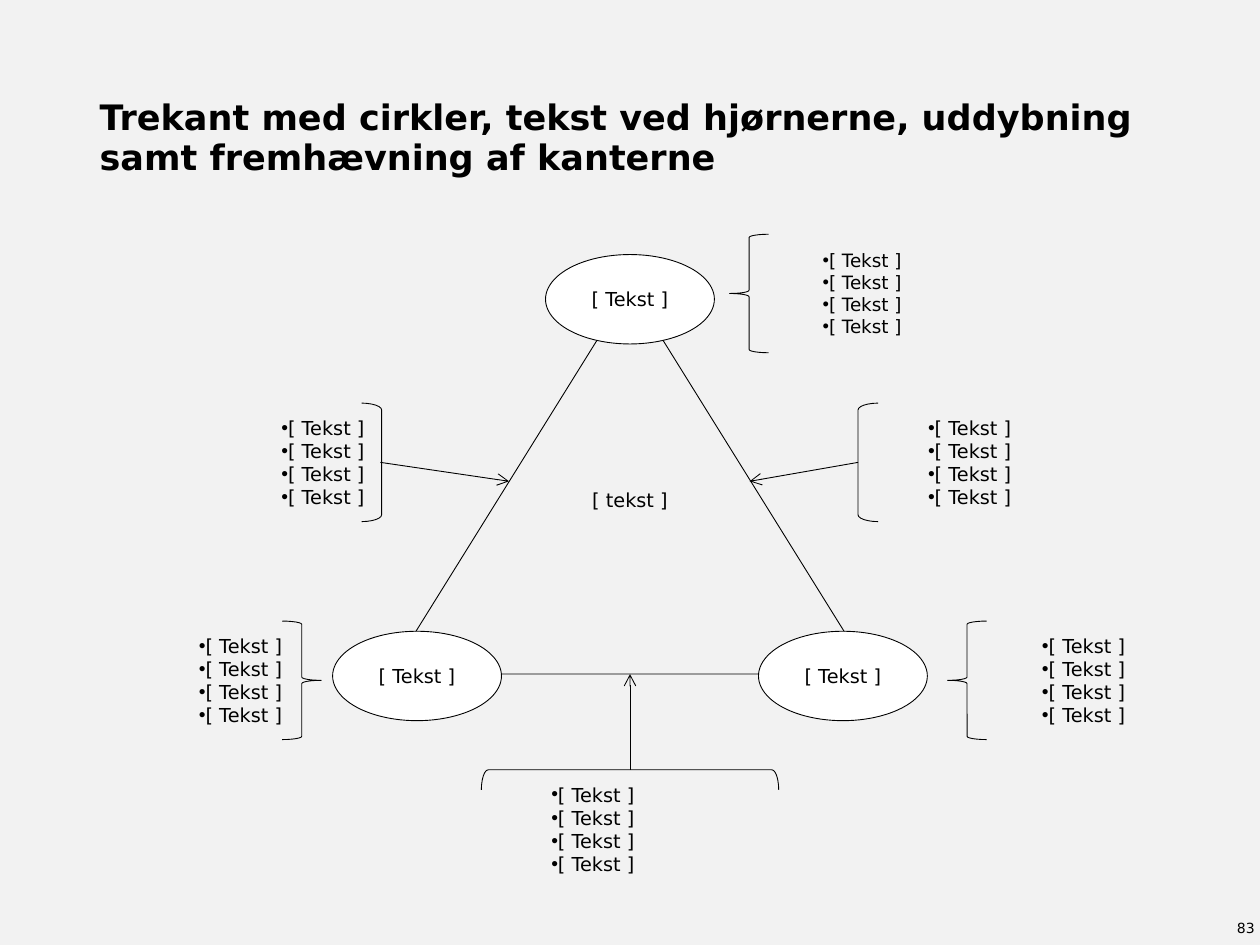
from lxml import etree
from pptx import Presentation
from pptx.dml.color import RGBColor
from pptx.enum.shapes import MSO_CONNECTOR, MSO_SHAPE
from pptx.enum.text import MSO_ANCHOR, MSO_AUTO_SIZE, PP_ALIGN
from pptx.oxml.ns import qn
from pptx.util import Inches, Pt

LEFT, CENTER, RIGHT = PP_ALIGN.LEFT, PP_ALIGN.CENTER, PP_ALIGN.RIGHT
TOP, MIDDLE, BOTTOM = MSO_ANCHOR.TOP, MSO_ANCHOR.MIDDLE, MSO_ANCHOR.BOTTOM
OVAL, TRIANGLE = MSO_SHAPE.OVAL, MSO_SHAPE.ISOSCELES_TRIANGLE
ROUNDED, BRACE = MSO_SHAPE.ROUNDED_RECTANGLE, MSO_SHAPE.LEFT_BRACE
BRACKET, STRAIGHT = MSO_SHAPE.LEFT_BRACKET, MSO_CONNECTOR.STRAIGHT
NO_AUTOFIT = MSO_AUTO_SIZE.NONE

COLORS = {"background": "F2F2F2", "ink": "000000", "circle": "FFFFFF"}
FONT, BULLET_FONT = "DejaVu Sans", "Arial"
BULLETS = ["[ Tekst ]"] * 4
LIST_H = 0.94


def rgb(name):
    return RGBColor.from_string(COLORS[name])


def write(tf, lines, size=11, bold=False, align=LEFT, anchor=TOP,
          insets=(0.08, 0.06), spacing=None, bullet=False):
    """Fill a text frame with one paragraph per line."""
    tf.word_wrap = True
    tf.auto_size = NO_AUTOFIT
    tf.vertical_anchor = anchor
    tf.margin_left = tf.margin_right = Inches(insets[0])
    tf.margin_top = tf.margin_bottom = Inches(insets[1])
    for i, line in enumerate(lines):
        p = tf.paragraphs[0] if i == 0 else tf.add_paragraph()
        p.alignment = align
        if spacing:
            p.line_spacing = spacing
        if bullet:
            pPr = p._p.get_or_add_pPr()
            pPr.set("marL", str(Inches(0.23)))
            pPr.set("indent", str(Inches(0.2)))
            etree.SubElement(pPr, qn("a:buFont")).set("typeface", BULLET_FONT)
            etree.SubElement(pPr, qn("a:buChar")).set("char", "•")
        r = p.add_run()
        r.text = line
        r.font.name = FONT
        r.font.size = Pt(size)
        r.font.bold = bold
        r.font.color.rgb = rgb("ink")


class Deck:
    """Holds the line style and the current slide."""

    line_width = Pt(0.5)

    def __init__(self, prs):
        self.s = prs.slides.add_slide(prs.slide_layouts[5])
        fill = self.s.background.fill
        fill.solid()
        fill.fore_color.rgb = rgb("background")

    def title(self, text, x, y, w, h):
        sp = self.s.shapes.title
        sp.left, sp.top, sp.width, sp.height = map(Inches, (x, y, w, h))
        write(sp.text_frame, [text], size=20, bold=True, anchor=BOTTOM,
              insets=(0, 0), spacing=0.96)

    def text(self, lines, x, y, w, h, **fmt):
        sp = self.s.shapes.add_textbox(*map(Inches, (x, y, w, h)))
        write(sp.text_frame, lines, **fmt)

    def shape(self, kind, x, y, w, h, fill=None, line=True, flip=False):
        sp = self.s.shapes.add_shape(kind, *map(Inches, (x, y, w, h)))
        sp.shadow.inherit = False
        if fill:
            sp.fill.solid()
            sp.fill.fore_color.rgb = rgb(fill)
        else:
            sp.fill.background()
        if line:
            sp.line.color.rgb = rgb("ink")
            sp.line.width = self.line_width
        else:
            sp.line.fill.background()
        if flip:
            sp._element.spPr.xfrm.set("flipH", "1")
        return sp

    def circle(self, text, x, y):
        sp = self.shape(OVAL, x, y, 1.34, 0.71, fill="circle")
        write(sp.text_frame, [text], align=CENTER, anchor=MIDDLE,
              insets=(0.06, 0.06))

    def corner_list(self, brace_x, text_x, y, w, size=11, flip=False):
        self.shape(BRACE, brace_x, y, 0.31, LIST_H, flip=flip)
        self.text(BULLETS, text_x, y, w, LIST_H, size=size, anchor=MIDDLE,
                  align=RIGHT if flip else LEFT, bullet=True)

    def edge_list(self, x, y, w, align=LEFT):
        sp = self.shape(ROUNDED, x, y, w, LIST_H, line=False)
        write(sp.text_frame, BULLETS, align=align, anchor=MIDDLE, bullet=True)

    def bracket(self, x, y, h, flip=False, rotation=0):
        sp = self.shape(BRACKET, x, y, 0.16, h, flip=flip)
        sp.adjustments[0] = 0.344
        sp.rotation = rotation

    def arrow(self, x1, y1, x2, y2):
        c = self.s.shapes.add_connector(
            STRAIGHT, *map(Inches, (x1, y1, x2, y2)))
        c.line.color.rgb = rgb("ink")
        c.line.width = self.line_width
        etree.SubElement(c.line._get_or_add_ln(),
                         qn("a:tailEnd")).set("type", "arrow")
        etree.SubElement(c._element.spPr, qn("a:effectLst"))


def main():
    prs = Presentation()
    prs.slide_width, prs.slide_height = Inches(10), Inches(7.5)
    deck = Deck(prs)
    deck.title("Trekant med cirkler, tekst ved hjørnerne, uddybning "
               "samt fremhævning af kanterne", 0.79, 0.59, 8.94, 0.83)
    deck.text(["83"], 7.63, 7.28, 2.33, 0.15, size=8, align=RIGHT,
              insets=(0, 0), spacing=1.15)

    triangle = deck.shape(TRIANGLE, 3.09, 2.28, 3.82, 3.07)
    write(triangle.text_frame, ["[ tekst ]"], align=CENTER)
    for x, y in ((2.64, 5.01), (6.02, 5.01), (4.33, 2.02)):
        deck.circle("[ Tekst ]", x, y)

    deck.corner_list(5.79, 6.02, 1.86, 2.13, size=10.5)
    deck.corner_list(2.24, 0.75, 4.93, 1.57, flip=True)
    deck.corner_list(7.52, 7.76, 4.93, 2.13)

    deck.edge_list(6.81, 3.2, 2.99)
    deck.bracket(6.81, 3.2, LIST_H)
    deck.arrow(6.81, 3.67, 5.95, 3.82)
    deck.edge_list(0.03, 3.2, 2.99, align=RIGHT)
    deck.bracket(2.87, 3.2, LIST_H, flip=True)
    deck.arrow(3.02, 3.67, 4.04, 3.82)
    deck.edge_list(3.82, 6.11, 2.36)
    deck.bracket(4.92, 5.01, 2.36, rotation=90)
    deck.arrow(5, 6.11, 5, 5.35)
    prs.save("out.pptx")


if __name__ == "__main__":
    main()
